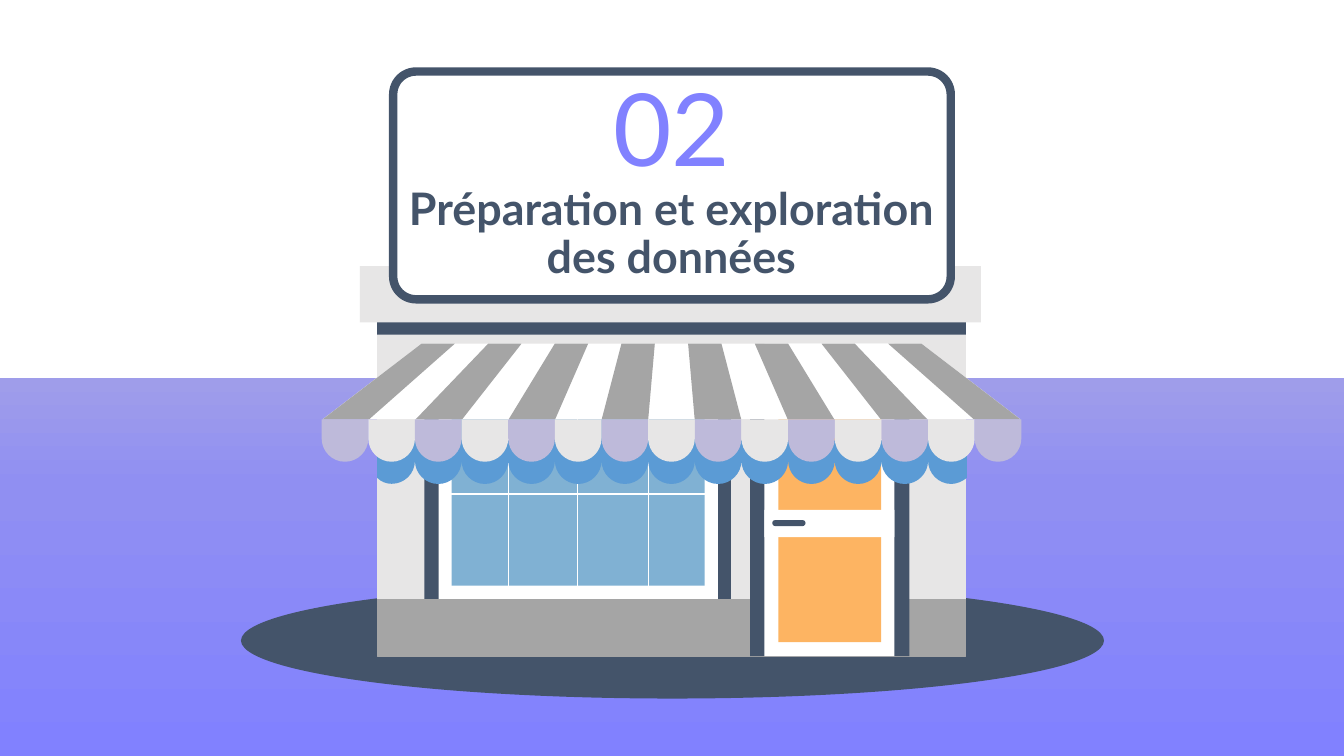
from copy import deepcopy

from lxml import etree
from pptx import Presentation
from pptx.dml.color import RGBColor
from pptx.enum.shapes import MSO_CONNECTOR, MSO_SHAPE
from pptx.enum.text import MSO_ANCHOR, PP_ALIGN
from pptx.oxml.ns import qn
from pptx.util import Pt

RECT, OVAL, ROUNDED = MSO_SHAPE.RECTANGLE, MSO_SHAPE.OVAL, MSO_SHAPE.ROUNDED_RECTANGLE
STRAIGHT = MSO_CONNECTOR.STRAIGHT
MIDDLE, CENTER = MSO_ANCHOR.MIDDLE, PP_ALIGN.CENTER

PX = 9144
FONT = "Lato"
COLORS = {
    "navy": "44546A", "white": "FFFFFF", "wall": "E7E6E6", "grey": "A5A5A5",
    "glass": "80B1D3", "shade": "5B9BD5", "door": "FDB462", "lilac": "BEBADA",
    "violet": "8181FF", "ground_top": "9F9DEA", "ground_mid": "908FF2",
}
TEXTS = [
    ("Préparation et exploration des données", (389, 176, 554, 114), 32, True, "navy"),
    ("02", (392, 74, 548, 117), 72, False, "violet"),
]
GROUND = (0, 375, 1333, 375)
GROUND_STOPS = [(0, "ground_top"), (0.29, "ground_mid"), (1, "violet")]
SHOP_SHADOW = (239, 578, 856, 115)
FACADE = [
    ((374, 264, 584, 387), "wall"),
    ((421, 373, 304, 235), "navy"),
    ((435, 386, 277, 209), "white"),
    ((448, 400, 251, 181), "glass"),
]
PANE_LINES = [(707, 490, 440, 490)] + [(x, 591, x, 378) for x in (504, 643, 573)]
BASE = (374, 595, 584, 56)
DOOR = [
    ((744, 346, 158, 305), "navy"),
    ((758, 341, 129, 310), "white"),
    ((772, 354, 102, 283), "door"),
]
DOOR_BAR = (758, 506, 129, 27)
HANDLE = (766, 516, 33, 6)
CORNICE = [((374, 284, 584, 48), "navy"), ((357, 264, 616, 56), "wall")]
SIGN = (390, 71, 553, 226)
STRIPES = 15
AWNING_TOP, AWNING_BOTTOM = (418, 914, 341), (320, 1012, 416)
FLAPS_LEFT, FLAPS_RIGHT, FLAP_ARC_Y = 319, 1013, 435
SHADE_LEFT, SHADE_RIGHT, SHADE_TOP, SHADE_ARC_Y = 374, 959, 437, 457
SHADE_SIDE_Y, SHADE_BOTTOM = 474, 480
ARC_PULL = 0.55

prs = Presentation()
prs.slide_width, prs.slide_height = 1333 * PX, 750 * PX
slide = prs.slides.add_slide(prs.slide_layouts[6])
shapes = slide.shapes


def rgb(name):
    return RGBColor.from_string(COLORS[name])


def emu(lengths):
    return [round(length * PX) for length in lengths]


def paint(shape, color, outline=None, width=0):
    shape.shadow.inherit = False
    shape.fill.solid()
    shape.fill.fore_color.rgb = rgb(color)
    if outline:
        shape.line.color.rgb = rgb(outline)
        shape.line.width = Pt(width)
    else:
        shape.line.fill.background()
    return shape


def block(box, color, kind=RECT, outline=None, width=0):
    return paint(shapes.add_shape(kind, *emu(box)), color, outline, width)


def outline_shape(start, segments, color):
    corners = [emu(point) for segment in segments for point in segment]
    builder = shapes.build_freeform(*emu(start), scale=1.0)
    builder.add_line_segments(corners, close=True)
    shape = paint(builder.convert_to_shape(), color)
    steps = iter(list(shape._element.spPr.iter(qn("a:lnTo"))))
    for segment in segments:
        group = [next(steps) for _ in segment]
        if len(group) == 3:
            curve = etree.Element(qn("a:cubicBezTo"))
            group[0].addprevious(curve)
            for step in group:
                curve.append(step[0])
                step.getparent().remove(step)


def along(edge, index):
    left, right, y = edge
    return left + (right - left) * index / STRIPES, y


def scallop(index, arc_y):
    radius = (FLAPS_RIGHT - FLAPS_LEFT) / STRIPES / 2
    left = FLAPS_LEFT + 2 * radius * index
    middle, right, bottom = left + radius, left + 2 * radius, arc_y + radius
    pull = radius * ARC_PULL
    return [
        [(left, arc_y + pull), (middle - pull, bottom), (middle, bottom)],
        [(middle + pull, bottom), (right, arc_y + pull), (right, arc_y)],
    ]


ground = block(GROUND, "violet")
ground.fill.gradient()
ground.fill.gradient_angle = 270
stop_list = ground._element.spPr.find(qn("a:gradFill")).find(qn("a:gsLst"))
stop_list.append(deepcopy(stop_list[0]))
for stop, (position, color) in zip(ground.fill.gradient_stops, GROUND_STOPS):
    stop.position = position
    stop.color.rgb = rgb(color)

block(SHOP_SHADOW, "navy", OVAL)
for box, color in FACADE:
    block(box, color)
for ends in PANE_LINES:
    pane_line = shapes.add_connector(STRAIGHT, *emu(ends))
    pane_line.line.color.rgb = rgb("white")
    pane_line.line.width = Pt(0.85)
    etree.SubElement(pane_line._element.spPr, qn("a:effectLst"))
block(BASE, "grey", outline="grey", width=0.75)
for box, color in DOOR:
    block(box, color)

shade_scallops = [scallop(index, SHADE_ARC_Y) for index in range(1, STRIPES - 1)]
first_middle, last_middle = shade_scallops[0][0][2][0], shade_scallops[-1][0][2][0]
shade_arcs = [arc for pair in shade_scallops for arc in pair][1:-1]
outline_shape(
    (SHADE_LEFT, SHADE_TOP),
    [[(SHADE_LEFT, SHADE_SIDE_Y)],
     [(378, 478), (383, SHADE_BOTTOM), (first_middle, SHADE_BOTTOM)],
     *shade_arcs,
     [(last_middle + 5, SHADE_BOTTOM), (954, 478), (SHADE_RIGHT, SHADE_SIDE_Y)],
     [(SHADE_RIGHT, SHADE_TOP)]],
    "shade")

block(DOOR_BAR, "white")
block(HANDLE, "navy", ROUNDED).adjustments[0] = 0.5
for box, color in CORNICE:
    block(box, color)

stripe_spans = [(index, index + 1, "grey") for index in range(STRIPES - 1, -1, -2)]
for first, last, color in [(0, STRIPES, "white")] + stripe_spans:
    outline_shape(
        along(AWNING_TOP, first),
        [[along(AWNING_BOTTOM, first)], [along(AWNING_BOTTOM, last)],
         [along(AWNING_TOP, last)]],
        color)
flap_top = AWNING_BOTTOM[2]
for index in range(STRIPES):
    arcs = scallop(index, FLAP_ARC_Y)
    left, right = arcs[0][0][0], arcs[1][2][0]
    outline_shape(
        (left, flap_top),
        [[(left, FLAP_ARC_Y)], *arcs, [(right, flap_top)]],
        "wall" if index % 2 else "lilac")

block(SIGN, "white", ROUNDED, "navy", 6).adjustments[0] = 0.1
for text, box, size, bold, color in TEXTS:
    frame = shapes.add_textbox(*emu(box)).text_frame
    frame.word_wrap = True
    frame.vertical_anchor = MIDDLE
    frame.margin_left = frame.margin_right = 10 * PX
    frame.margin_top = frame.margin_bottom = 10 * PX
    paragraph = frame.paragraphs[0]
    paragraph.text = text
    paragraph.alignment = CENTER
    paragraph.line_spacing = 0.9
    paragraph.font.name = FONT
    paragraph.font.size = Pt(size)
    paragraph.font.bold = bold
    paragraph.font.color.rgb = rgb(color)

prs.save("out.pptx")
